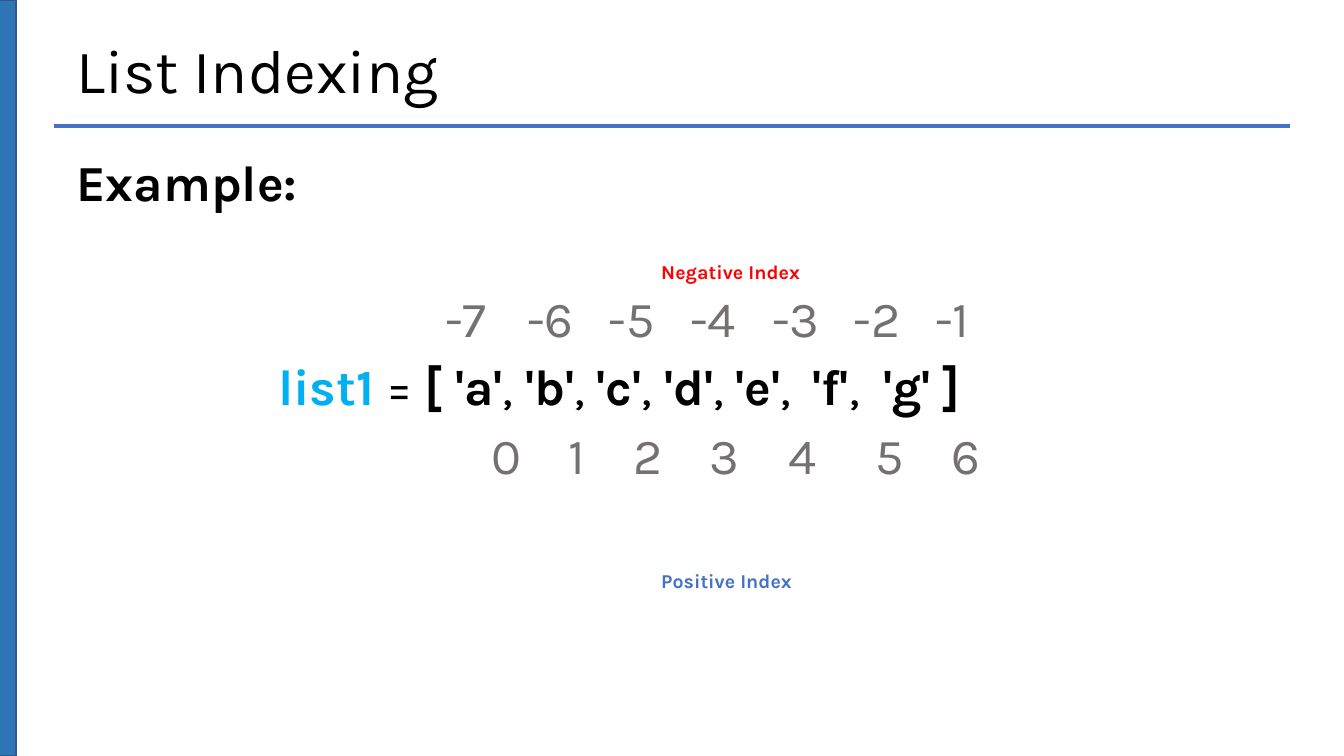
from dataclasses import dataclass

from lxml.etree import SubElement
from pptx import Presentation
from pptx.dml.color import RGBColor
from pptx.enum.shapes import MSO_CONNECTOR, MSO_SHAPE
from pptx.enum.text import MSO_ANCHOR
from pptx.oxml.ns import qn
from pptx.util import Inches, Pt


@dataclass(frozen=True)
class Theme:
    font: str = "Karla"
    black: RGBColor = RGBColor(0x00, 0x00, 0x00)
    gray: RGBColor = RGBColor(0x76, 0x71, 0x71)
    red: RGBColor = RGBColor(0xFF, 0x00, 0x00)
    blue: RGBColor = RGBColor(0x44, 0x72, 0xC4)
    cyan: RGBColor = RGBColor(0x00, 0xB0, 0xF0)
    bar_fill: RGBColor = RGBColor(0x2E, 0x75, 0xB6)
    bar_edge: RGBColor = RGBColor(0x32, 0x54, 0x91)
    title_size: int = 44
    body_size: int = 36
    label_size: int = 14


theme = Theme()


def write(paragraph, text, size=theme.body_size, color=theme.black, bold=False):
    """Append one formatted run to the paragraph."""
    run = paragraph.add_run()
    run.text = text
    run.font.name = theme.font
    run.font.size = Pt(size)
    run.font.bold = bold
    run.font.color.rgb = color


def add_row(frame, space_before, stops, align="l"):
    """Add a body paragraph with tab stops, in inches from the text edge."""
    row = frame.add_paragraph()
    row.line_spacing = 0.9
    row.space_before = Pt(space_before)
    tabs = SubElement(row._p.get_or_add_pPr(), qn("a:tabLst"))
    for stop in stops:
        SubElement(tabs, qn("a:tab"), pos=str(Inches(stop)), algn=align)
    return row


prs = Presentation()
prs.slide_width, prs.slide_height = Inches(13.33), Inches(7.5)
slide = prs.slides.add_slide(prs.slide_layouts[6])
shapes = slide.shapes

# Side bar, title and rule
side_bar = shapes.add_shape(
    MSO_SHAPE.RECTANGLE, Inches(-0.17), Inches(0), Inches(0.33), Inches(7.5))
side_bar.shadow.inherit = False
side_bar.fill.solid()
side_bar.fill.fore_color.rgb = theme.bar_fill
side_bar.line.color.rgb = theme.bar_edge
side_bar.line.width = Pt(1)

title = shapes.add_textbox(
    Inches(0.66), Inches(0), Inches(11.75), Inches(1.45)).text_frame
title.word_wrap = True
title.vertical_anchor = MSO_ANCHOR.MIDDLE
title.paragraphs[0].line_spacing = 0.9
write(title.paragraphs[0], "List Indexing", size=theme.title_size)

title_rule = shapes.add_connector(
    MSO_CONNECTOR.STRAIGHT, Inches(0.54), Inches(1.25), Inches(12.79), Inches(1.25))
title_rule.line.color.rgb = theme.blue
title_rule.line.width = Pt(3)
SubElement(title_rule._element.spPr, qn("a:effectLst"))

# Example: the list between its two rows of indexes
example = shapes.add_textbox(
    Inches(0.66), Inches(1.52), Inches(11.5), Inches(5.66)).text_frame
example.word_wrap = True
example.paragraphs[0].line_spacing = 0.9
write(example.paragraphs[0], "Example:", bold=True)

negative_stops = [3.66 + 0.81 * i for i in range(7)]
negative_row = add_row(example, 58, negative_stops)
for index in range(-7, 0):
    write(negative_row, f"\t{index}", color=theme.gray)

list_row = add_row(example, 10, [2, 7.3, 8])
write(list_row, "\tlist1", color=theme.cyan, bold=True)
write(list_row, " = ")
write(list_row, "[ ", bold=True)
for letter in "abcdefg":
    write(list_row, f"'{letter}'", bold=True)
    if letter != "g":
        write(list_row, ",\t" if letter in "ef" else ", ")
write(list_row, " ]", bold=True)

positive_stops = [4.27, 4.96, 5.67, 6.43, 7.2, 8.07, 8.82]
positive_row = add_row(example, 10, positive_stops, align="ctr")
for index in range(7):
    write(positive_row, f"\t{index}", color=theme.gray)

# Labels of the index rows
for label, top, width, color in (
    ("Negative Index", 2.53, 2.31, theme.red),
    ("Positive Index", 5.59, 1.89, theme.blue),
):
    frame = shapes.add_textbox(
        Inches(6.46), Inches(top), Inches(width), Inches(0.34)).text_frame
    frame.word_wrap = True
    write(frame.paragraphs[0], label, size=theme.label_size, color=color, bold=True)

prs.save("out.pptx")
